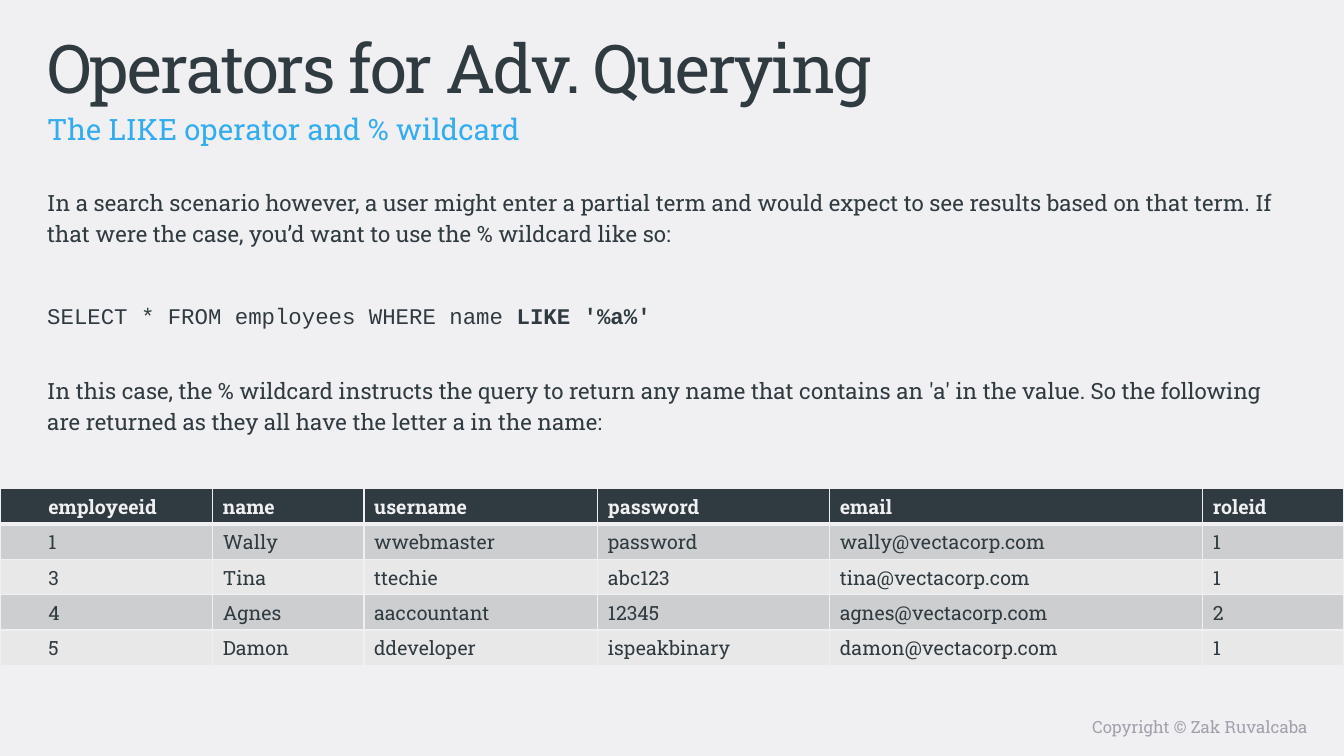
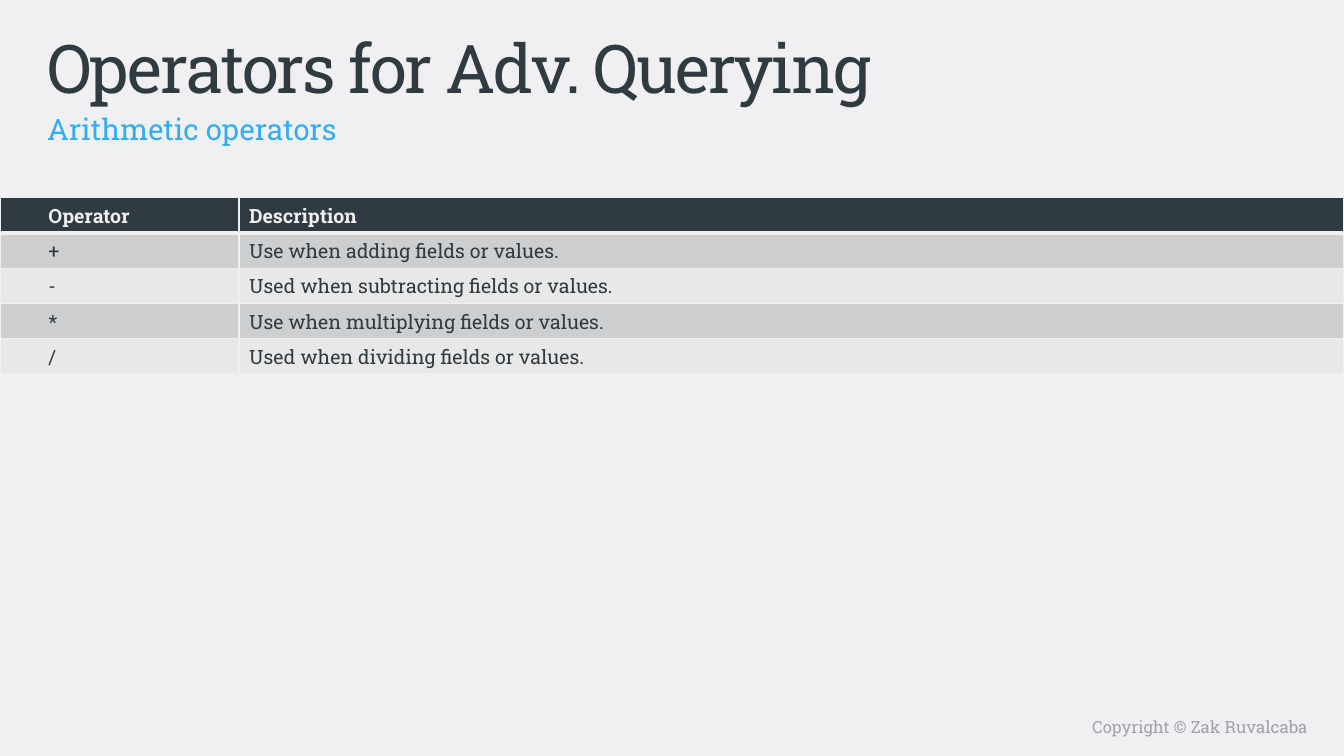
"""Build two slides on SQL operators for advanced querying."""
from lxml.etree import SubElement
from pptx import Presentation
from pptx.dml.color import RGBColor
from pptx.enum.text import MSO_ANCHOR, PP_ALIGN
from pptx.oxml.ns import qn
from pptx.util import Inches, Pt

BACKGROUND = RGBColor(0xF0, 0xF0, 0xF2)
DARK = RGBColor(0x30, 0x3B, 0x41)
BLUE = RGBColor(0x34, 0xAD, 0xEF)
FOOTER_GRAY = RGBColor(0xA1, 0xA1, 0xAD)
ROW_FILLS = (RGBColor(0xCD, 0xCE, 0xCF), RGBColor(0xE8, 0xE8, 0xE9))
BODY_FONT = "Roboto Slab"
CODE_FONT = "Courier New"
LINE_SPACING = 1.17
ROW_HEIGHT = 0.35

TITLE = "Operators for Adv. Querying"
FOOTER = "Copyright © Zak Ruvalcaba"

SLIDES = [
    {
        "subtitle": "The LIKE operator and % wildcard",
        "body": [
            ("In a search scenario however, a user might enter a partial term and would "
             "expect to see results based on that term. If that were the case, you’d want "
             "to use the % wildcard like so:", {"before": 2}),
            ("SELECT * FROM employees WHERE name ",
             {"before": 36, "font": CODE_FONT, "bold_tail": "LIKE '%a%'"}),
            ("In this case, the % wildcard instructs the query to return any name that "
             "contains an 'a' in the value. So the following are returned as they all have "
             "the letter a in the name:", {"before": 31}),
        ],
        "table_top": 4.85,
        "columns": [2.11, 1.5, 2.32, 2.3, 3.7, 1.4],
        "rows": [
            ("employeeid", "name", "username", "password", "email", "roleid"),
            ("1", "Wally", "wwebmaster", "password", "wally@vectacorp.com", "1"),
            ("3", "Tina", "ttechie", "abc123", "tina@vectacorp.com", "1"),
            ("4", "Agnes", "aaccountant", "12345", "agnes@vectacorp.com", "2"),
            ("5", "Damon", "ddeveloper", "ispeakbinary", "damon@vectacorp.com", "1"),
        ],
    },
    {
        "subtitle": "Arithmetic operators",
        "body": [],
        "table_top": 1.96,
        "columns": [2.37, 10.96],
        "rows": [
            ("Operator", "Description"),
            ("+", "Use when adding fields or values."),
            ("-", "Used when subtracting fields or values."),
            ("*", "Use when multiplying fields or values."),
            ("/", "Used when dividing fields or values."),
        ],
    },
]


def write(paragraph, text, size=16, font=BODY_FONT, color=DARK, bold=False,
          bold_tail="", align=PP_ALIGN.LEFT, line_spacing=1.0, before=0, tracking=0):
    paragraph.alignment = align
    paragraph.line_spacing = line_spacing
    paragraph.space_before = Pt(before)
    for content, is_bold in ((text, bold), (bold_tail, True)):
        if not content:
            continue
        run = paragraph.add_run()
        run.text = content
        run.font.size = Pt(size)
        run.font.name = font
        run.font.bold = is_bold
        run.font.color.rgb = color
        if tracking:
            run._r.get_or_add_rPr().set("spc", str(int(tracking * 100)))


def add_text(slide, box, paragraphs, anchor=MSO_ANCHOR.TOP):
    shape = slide.shapes.add_textbox(*map(Inches, box))
    frame = shape.text_frame
    frame.word_wrap = True
    frame.vertical_anchor = anchor
    for index, (text, style) in enumerate(paragraphs):
        paragraph = frame.add_paragraph() if index else frame.paragraphs[0]
        write(paragraph, text, **style)


def set_borders(cell, **widths):
    properties = cell._tc.get_or_add_tcPr()
    for side in "LRTB":
        line = SubElement(properties, qn(f"a:ln{side}"), w=str(Pt(widths.get(side, 1))))
        fill = SubElement(line, qn("a:solidFill"))
        SubElement(fill, qn("a:srgbClr"), val=str(BACKGROUND))


def add_data_table(slide, top, columns, rows):
    shape = slide.shapes.add_table(
        len(rows), len(columns), Inches(0), Inches(top),
        Inches(sum(columns)), Inches(ROW_HEIGHT * len(rows)))
    table = shape.table
    table.horz_banding = False
    for column, width in zip(table.columns, columns):
        column.width = Inches(width)
    for row_index, values in enumerate(rows):
        is_header = row_index == 0
        table.rows[row_index].height = Inches(ROW_HEIGHT)
        for column_index, value in enumerate(values):
            cell = table.cell(row_index, column_index)
            cell.margin_left = Inches(0.1 if column_index else 0.48)
            set_borders(cell, B=3 if is_header else 1, T=3 if row_index == 1 else 1)
            cell.fill.solid()
            cell.fill.fore_color.rgb = DARK if is_header else ROW_FILLS[(row_index - 1) % 2]
            write(cell.text_frame.paragraphs[0], value, size=14, bold=is_header,
                  color=BACKGROUND if is_header else DARK)


def add_slide(presentation, content):
    slide = presentation.slides.add_slide(presentation.slide_layouts[6])
    slide.background.fill.solid()
    slide.background.fill.fore_color.rgb = BACKGROUND
    add_text(slide, (6.67, 7.06, 6.4, 0.31),
             [(FOOTER, {"size": 12, "color": FOOTER_GRAY, "align": PP_ALIGN.RIGHT})],
             anchor=MSO_ANCHOR.MIDDLE)
    add_text(slide, (0.37, 0.21, 11.76, 0.79), [(TITLE, {"size": 48, "tracking": -1.5})])
    add_text(slide, (0.37, 0.99, 11.76, 0.39),
             [(content["subtitle"], {"size": 21, "color": BLUE, "before": 2,
                                     "line_spacing": LINE_SPACING})])
    if content["body"]:
        add_text(slide, (0.37, 1.78, 12.58, 5.12),
                 [(text, {"line_spacing": LINE_SPACING, **style})
                  for text, style in content["body"]])
    add_data_table(slide, content["table_top"], content["columns"], content["rows"])


def main():
    presentation = Presentation()
    presentation.slide_width = Inches(13.33)
    presentation.slide_height = Inches(7.5)
    for content in SLIDES:
        add_slide(presentation, content)
    presentation.save("out.pptx")


if __name__ == "__main__":
    main()
